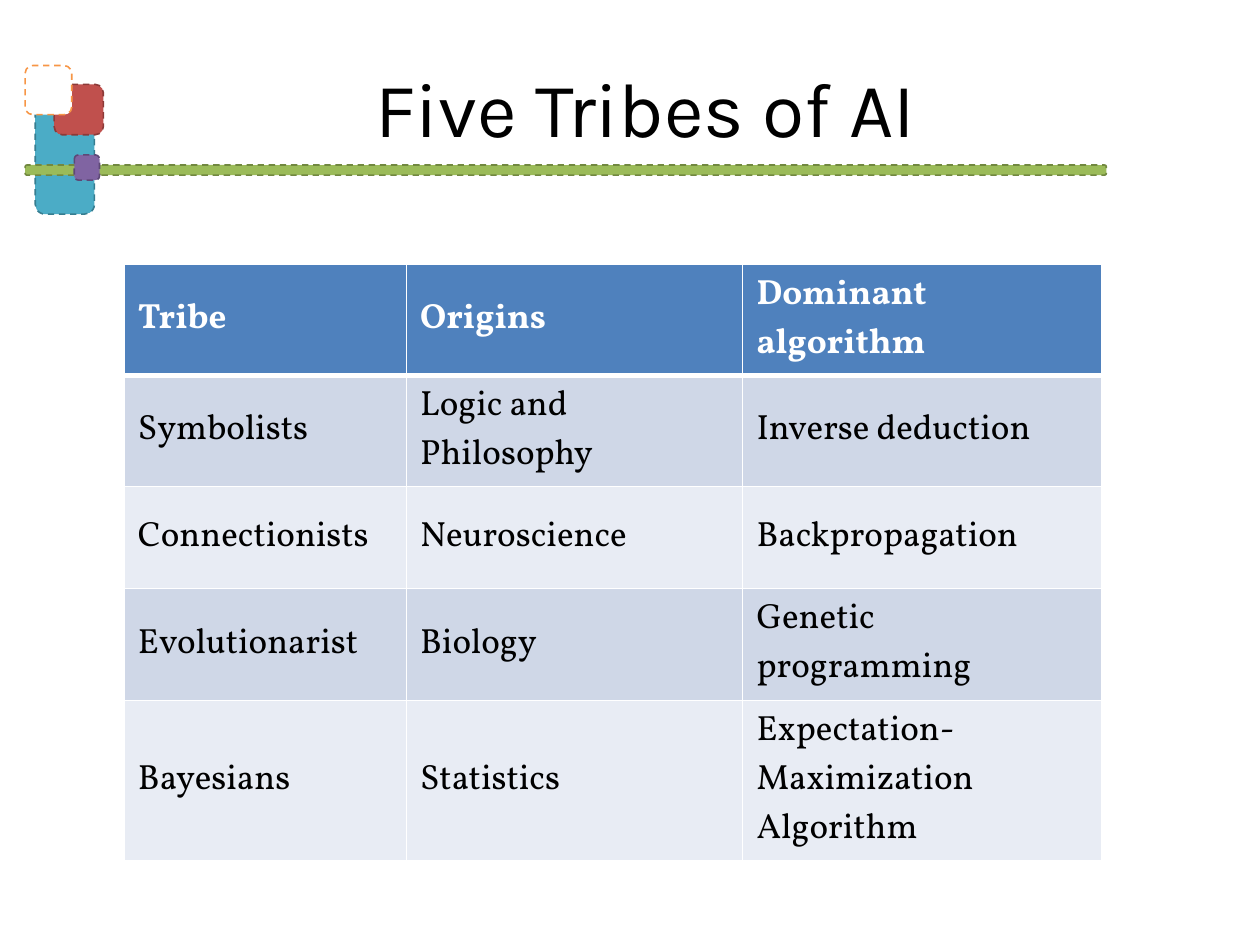
from typing import NamedTuple

from lxml.etree import SubElement
from pptx import Presentation
from pptx.dml.color import RGBColor
from pptx.enum.dml import MSO_LINE as Dash
from pptx.enum.shapes import MSO_SHAPE as Shape
from pptx.enum.text import MSO_ANCHOR as Anchor, PP_ALIGN as Align
from pptx.oxml.ns import qn
from pptx.util import Inches, Pt

COLS, ROWS = 100, 75
WIDE, HIGH = Inches(10), Inches(7.5)


class Box(NamedTuple):
    col: float
    row: float
    cols: float
    rows: float


class Block(NamedTuple):
    box: Box
    fill: str
    line: str


BLOCKS = [
    Block(Box(2.8, 7, 4.7, 10), "4BACC6", "367D90"),
    Block(Box(2, 13.1, 85.8, 0.8), "9BBB59", "718840"),
    Block(Box(4.3, 6.7, 3.9, 4), "C0504D", "8C3A38"),
    Block(Box(2, 5.2, 3.7, 3.9), "FFFFFF", "F79646"),
    Block(Box(5.9, 12.3, 2, 2), "8064A2", "5D4876"),
]
TITLE = Box(7.5, 3, 87.5, 10.9)
TRIBES = [
    ("Tribe", "Origins", "Dominant algorithm"),
    ("Symbolists", "Logic and Philosophy", "Inverse deduction"),
    ("Connectionists", "Neuroscience", "Backpropagation"),
    ("Evolutionarist", "Biology", "Genetic programming"),
    ("Bayesians", "Statistics", "Expectation-Maximization Algorithm"),
]
WIDTHS = [22.4, 26.7, 28.5]
HEIGHTS = [8.8, 8.8, 8.1, 8.9, 12.7]
GRID = Box(9.85, 21, sum(WIDTHS), sum(HEIGHTS))
BANDS = ["E8ECF4", "CFD7E7"]


def across(cols: float) -> int:
    return round(WIDE * cols / COLS)


def down(rows: float) -> int:
    return round(HIGH * rows / ROWS)


def place(box: Box) -> tuple[int, int, int, int]:
    return across(box.col), down(box.row), across(box.cols), down(box.rows)


def paint(fill, tone: str) -> None:
    fill.solid()
    fill.fore_color.rgb = RGBColor.from_string(tone)


def style(font, name: str, size: float, tone: str, bold: bool = False) -> None:
    font.name, font.size, font.bold = name, Pt(size), bold
    paint(font.fill, tone)


def draw_block(slide, block: Block) -> None:
    shape = slide.shapes.add_shape(Shape.ROUNDED_RECTANGLE, *place(block.box))
    shape.shadow.inherit = False
    paint(shape.fill, block.fill)
    paint(shape.line.fill, block.line)
    shape.line.width = Pt(0.9)
    shape.line.dash_style = Dash.DASH


def draw_title(slide, text: str) -> None:
    frame = slide.shapes.add_textbox(*place(TITLE)).text_frame
    frame.word_wrap = True
    frame.vertical_anchor = Anchor.MIDDLE
    para = frame.paragraphs[0]
    para.text = text
    para.alignment = Align.CENTER
    style(para.font, "Karla", 44, "000000")


def edge(cell, side: str, width: float) -> None:
    line = SubElement(cell._tc.get_or_add_tcPr(), qn(f"a:ln{side}"), w=str(Pt(width)))
    solid = SubElement(line, qn("a:solidFill"))
    SubElement(solid, qn("a:srgbClr"), val="FFFFFF")


def draw_cell(cell, text: str, row: int) -> None:
    head = row == 0
    for side in "LRTB":
        thick = (head and side == "B") or (row == 1 and side == "T")
        edge(cell, side, 3 if thick else 1)
    paint(cell.fill, "4F81BD" if head else BANDS[row % 2])
    cell.vertical_anchor = Anchor.MIDDLE
    cell.margin_left = cell.margin_right = across(1.1)
    cell.margin_top = cell.margin_bottom = down(0.5)
    para = cell.text_frame.paragraphs[0]
    para.text = text
    style(para.font, "Vollkorn", 20, "FFFFFF" if head else "000000", head)


def draw_table(slide) -> None:
    frame = slide.shapes.add_table(len(TRIBES), len(WIDTHS), *place(GRID))
    table = frame.table
    for col, width in zip(table.columns, WIDTHS):
        col.width = across(width)
    for row, height in zip(table.rows, HEIGHTS):
        row.height = down(height)
    for r, tribe in enumerate(TRIBES):
        for c, text in enumerate(tribe):
            draw_cell(table.cell(r, c), text, r)


def main() -> None:
    deck = Presentation()
    deck.slide_width, deck.slide_height = WIDE, HIGH
    slide = deck.slides.add_slide(deck.slide_layouts[6])
    for block in BLOCKS:
        draw_block(slide, block)
    draw_title(slide, "Five Tribes of AI")
    draw_table(slide)
    deck.save("out.pptx")


if __name__ == "__main__":
    main()
